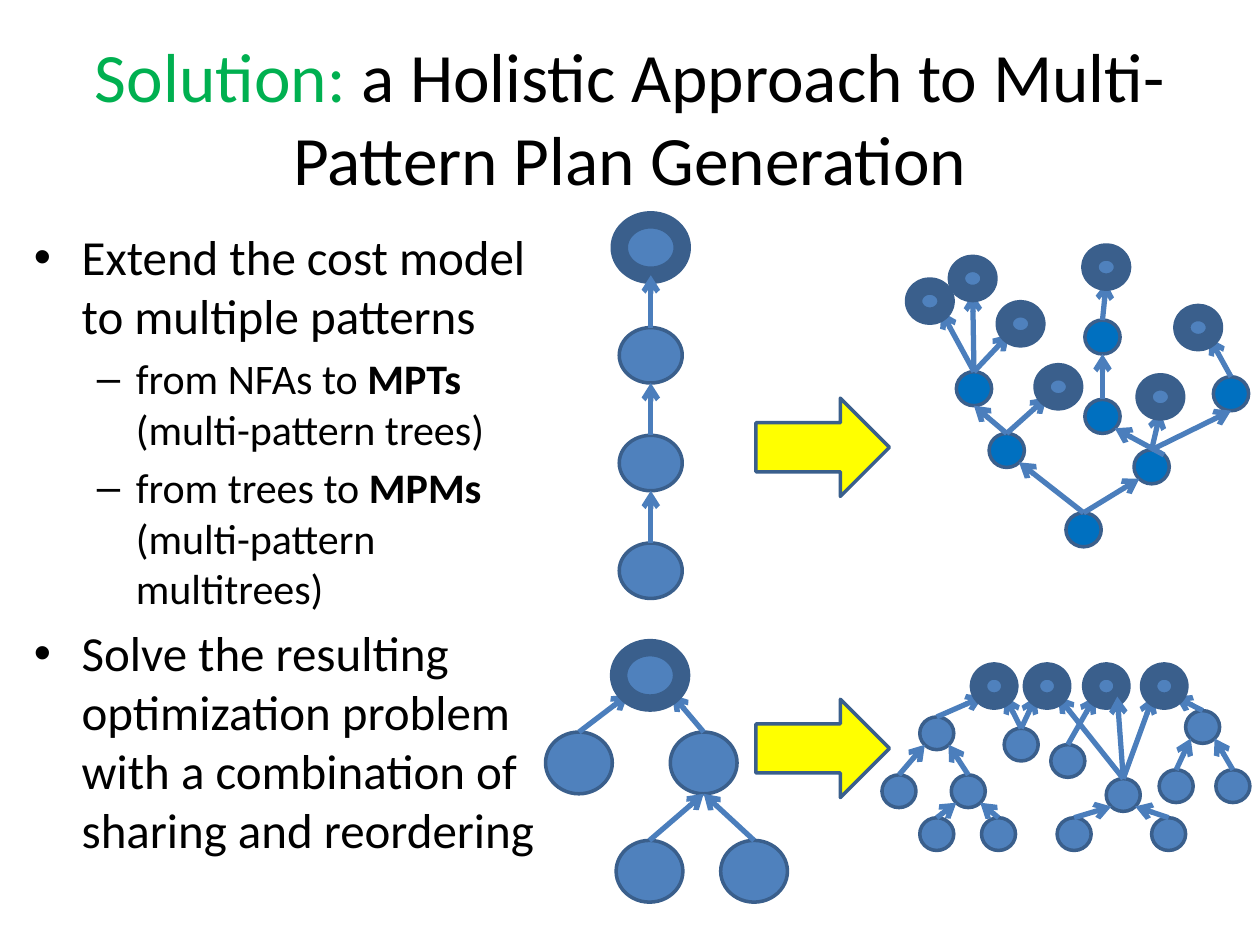
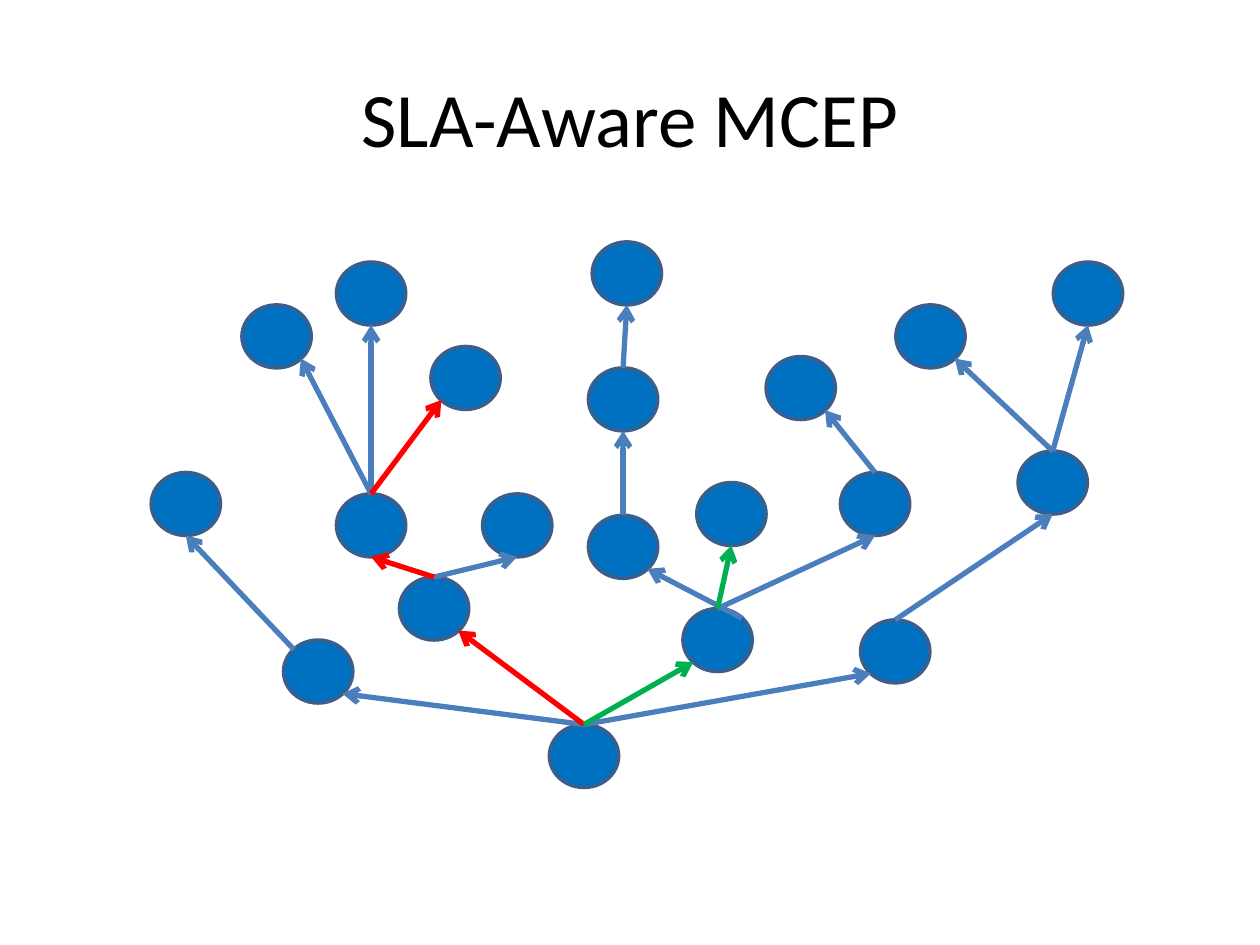
from lxml import etree
from pptx import Presentation
from pptx.dml.color import RGBColor
from pptx.enum.shapes import MSO_CONNECTOR, MSO_SHAPE
from pptx.enum.text import MSO_ANCHOR, MSO_AUTO_SIZE, PP_ALIGN
from pptx.oxml.ns import qn
from pptx.util import Inches, Pt

LINE = MSO_CONNECTOR.STRAIGHT
OVAL, ARROW = MSO_SHAPE.OVAL, MSO_SHAPE.RIGHT_ARROW
MIDDLE, TOP_ANCHOR = MSO_ANCHOR.MIDDLE, MSO_ANCHOR.TOP
CENTER, LEFT = PP_ALIGN.CENTER, PP_ALIGN.LEFT
NO_FIT = MSO_AUTO_SIZE.NONE

BLACK = RGBColor(0x00, 0x00, 0x00)
GREEN = RGBColor(0x00, 0xB0, 0x50)
RED = RGBColor(0xFF, 0x00, 0x00)
YELLOW = RGBColor(0xFF, 0xFF, 0x00)
STEEL = RGBColor(0x4F, 0x81, 0xBD)
BLUE = RGBColor(0x00, 0x70, 0xC0)
EDGE = RGBColor(0x3A, 0x5F, 0x8C)
LINK = RGBColor(0x4B, 0x7E, 0xBC)

FONT = "Calibri"
WIDE, HIGH = Inches(10), Inches(7.5)
COLS = 100
UNIT = WIDE // COLS

# Points on an oval, as shares of its width and height from the centre
DIAG = 0.35
TOP, LOW = (0, -0.5), (0, 0.5)
LOW_L, LOW_R = (-DIAG, DIAG), (DIAG, DIAG)
TOP_L, TOP_R = (-DIAG, -DIAG), (DIAG, -DIAG)


def grid(*cells):
    return [round(cell * UNIT) for cell in cells]


def spot(oval, site):
    """Return the point of an oval that a site stands for."""
    return (round(oval.left + oval.width * (0.5 + site[0])),
            round(oval.top + oval.height * (0.5 + site[1])))


class Deck:
    def __init__(self):
        self.show = Presentation()
        self.show.slide_width, self.show.slide_height = WIDE, HIGH
        self.slide = None
        self.ovals = {}

    def page(self, *runs, size):
        """Start a slide; runs are (text, colour) parts of its title."""
        self.slide = self.show.slides.add_slide(self.show.slide_layouts[5])
        title = self.slide.shapes.title
        title.left, title.top, title.width, title.height = grid(5, 3, 90, 12.5)
        frame = self.frame(title, MIDDLE)
        for text, color in runs:
            self.words(frame.paragraphs[0], text, size=size, color=color, align=CENTER)

    def frame(self, box, anchor):
        frame = box.text_frame
        frame.word_wrap, frame.auto_size = True, NO_FIT
        frame.vertical_anchor = anchor
        return frame

    def words(self, para, text, size, color=BLACK, bold=False, align=LEFT):
        """Add a formatted run to a paragraph."""
        para.alignment = align
        run = para.add_run()
        run.text = text
        font = run.font
        font.name, font.size, font.bold = FONT, Pt(size), bold
        font.color.rgb = color

    def points(self, items, *place):
        """Add a bullet list; each item is (level, text, bold part, rest)."""
        frame = self.frame(self.slide.shapes.add_textbox(*grid(*place)), TOP_ANCHOR)
        for i, (level, *parts) in enumerate(items):
            para = frame.add_paragraph() if i else frame.paragraphs[0]
            size, inset, hang, mark = ((28, 0.38, 0.38, "•"), (24, 0.81, 0.31, "–"))[level]
            para.level, para.space_before = level, Pt(size * 0.2)
            for j, text in enumerate(parts):
                self.words(para, text, size=size, bold=j == 1)
            props = para._p.get_or_add_pPr()
            props.set("marL", str(Inches(inset)))
            props.set("indent", str(-Inches(hang)))
            etree.SubElement(props, qn("a:buFont")).set("typeface", "Arial")
            etree.SubElement(props, qn("a:buChar")).set("char", mark)

    def form(self, kind, place, fill, line=2):
        item = self.slide.shapes.add_shape(kind, *grid(*place))
        item.shadow.inherit = False
        item.fill.solid()
        item.fill.fore_color.rgb = fill
        item.line.color.rgb, item.line.width = EDGE, Pt(line)
        return item

    def nodes(self, spots, wide, high, fill=STEEL, line=2):
        """Draw ovals of one size around named centres."""
        for name, (x, y) in spots.items():
            place = x - wide / 2, y - high / 2, wide, high
            self.ovals[name] = self.form(OVAL, place, fill, line)

    def ends(self, spots, wide, high):
        self.nodes(spots, wide, high, line=10)

    def links(self, pairs, end=LOW, start=TOP, color=LINK):
        """Draw an arrow for each pair of node letters."""
        for first, last in pairs.split():
            source, goal = self.ovals[first], self.ovals[last]
            link = self.slide.shapes.add_connector(LINE, *spot(source, start), *spot(goal, end))
            if start == TOP:
                link.begin_connect(source, 0)
            link.line.color.rgb, link.line.width = color, Pt(3)
            tip = etree.SubElement(link.line._get_or_add_ln(), qn("a:tailEnd"))
            tip.set("type", "arrow")
            etree.SubElement(link._element.spPr, qn("a:effectLst"))

    def lift(self, names):
        """Bring nodes in front of the arrows."""
        for name in names:
            item = self.ovals[name]._element
            item.getparent().append(item)


def plan_page(deck):
    deck.page(("Solution:", GREEN), (" a Holistic Approach to Multi-Pattern Plan Generation", BLACK),
              size=39.6)
    deck.points([
        (0, "Extend the cost model to multiple patterns"),
        (1, "from NFAs to ", "MPTs", " (multi-pattern trees)"),
        (1, "from trees to ", "MPMs", " (multi-pattern multitrees)"),
        (0, "Solve the resulting optimization problem with a combination of sharing and reordering"),
    ], 1.7, 17.5, 41.7, 55.8)

    # Chain
    chain = {name: (51.65, 45.3 - 8.55 * i) for i, name in enumerate("abcd")}
    last = {"d": chain.pop("d")}
    deck.nodes(chain, 5, 4.4)
    deck.ends(last, 5, 4.4)
    deck.links("ab bc cd")

    # Tree
    deck.nodes({"a": (45.95, 60.55), "b": (55.85, 60.55),
                "c": (51.55, 69.15), "d": (59.85, 69.15)}, 5.3, 4.9)
    deck.ends({"t": (51.6, 53.6)}, 5, 4.4)
    deck.links("cb db")
    deck.links("at", LOW_L)
    deck.links("bt", LOW_R)
    deck.lift("t")

    # Tree of many patterns
    deck.nodes({"r": (86, 42.05), "L": (79.9, 35.75), "R": (91.4, 37.05), "a": (77.3, 30.85),
                "m": (87.5, 33.05), "n": (87.5, 26.75), "e": (97.7, 31.25)}, 2.8, 2.7, BLUE)
    deck.ends({"t": (87.8, 21.2), "u": (95.1, 26), "v": (73.8, 23.9), "w": (77.2, 22.1),
               "x": (81, 25.7), "y": (92.1, 31.5), "z": (84, 30.7)}, 2.6, 2.4)
    deck.links("Re La nt aw mn Ry")
    deck.links("Lz rR ax", LOW_L)
    deck.links("av rL eu", LOW_R)
    deck.links("Rm", LOW_R, TOP_R)
    deck.lift("tuvwxyz")

    for row in (31.6, 55.5):
        deck.form(ARROW, (60, row, 10.6, 7.8), YELLOW)

    # Multitree
    deck.nodes({"a": (74.35, 58.2), "b": (71.35, 62.8), "c": (76.85, 62.8), "g": (81.05, 59.1),
                "h": (84.75, 60.4), "k": (89.15, 63.1), "p": (95.45, 57.7), "q": (93.35, 62.4),
                "s": (97.85, 62.4)}, 2.7, 2.6)
    deck.nodes({name: (x, 66.2) for name, x in zip("demn", (74.35, 79.25, 85.25, 92.75))}, 2.7, 2.6)
    deck.ends({name: (x, 54.45) for name, x in zip("1234", (78.9, 83.1, 87.8, 92.4))}, 2.5, 2.4)
    deck.links("dc ba a1 g2 h3 k4 mk qp", LOW_L)
    deck.links("ec ca g1 k2 sp p4 nk", LOW_R)
    deck.lift("1234")
    deck.links("k3", LOW_R)


def sla_page(deck):
    deck.page(("SLA-Aware MCEP", BLACK), size=44)
    deck.nodes({"r": (46.35, 60), "O": (25.25, 53.3), "L": (34.45, 48.3), "M": (56.95, 50.8),
                "R": (71.05, 51.7), "P": (83.55, 38.3), "a": (29.45, 23.3), "b": (21.95, 26.7),
                "c": (14.75, 40), "d": (73.85, 26.7), "e": (86.35, 23.3), "f": (63.55, 30.8),
                "g": (29.45, 41.7), "h": (49.75, 21.7), "i": (36.95, 30), "j": (49.45, 31.7),
                "k": (58.05, 40.8), "l": (69.45, 40), "n": (41.05, 41.7), "o": (49.45, 43.4)},
               5.5, 5, BLUE)
    deck.links("Ml Pe Ln RP jh ga oj")
    deck.links("rR", LOW_L)
    deck.links("gb rO Pd lf", LOW_R)
    deck.links("Oc", start=TOP_L)
    deck.links("Mo", LOW_R, TOP_R)
    deck.links("rL", LOW_R, color=RED)
    deck.links("Lg", color=RED)
    deck.links("gi", LOW_L, color=RED)
    deck.links("rM", LOW_L, color=GREEN)
    deck.links("Mk", color=GREEN)


def main():
    deck = Deck()
    plan_page(deck)
    sla_page(deck)
    deck.show.save("out.pptx")


if __name__ == "__main__":
    main()
